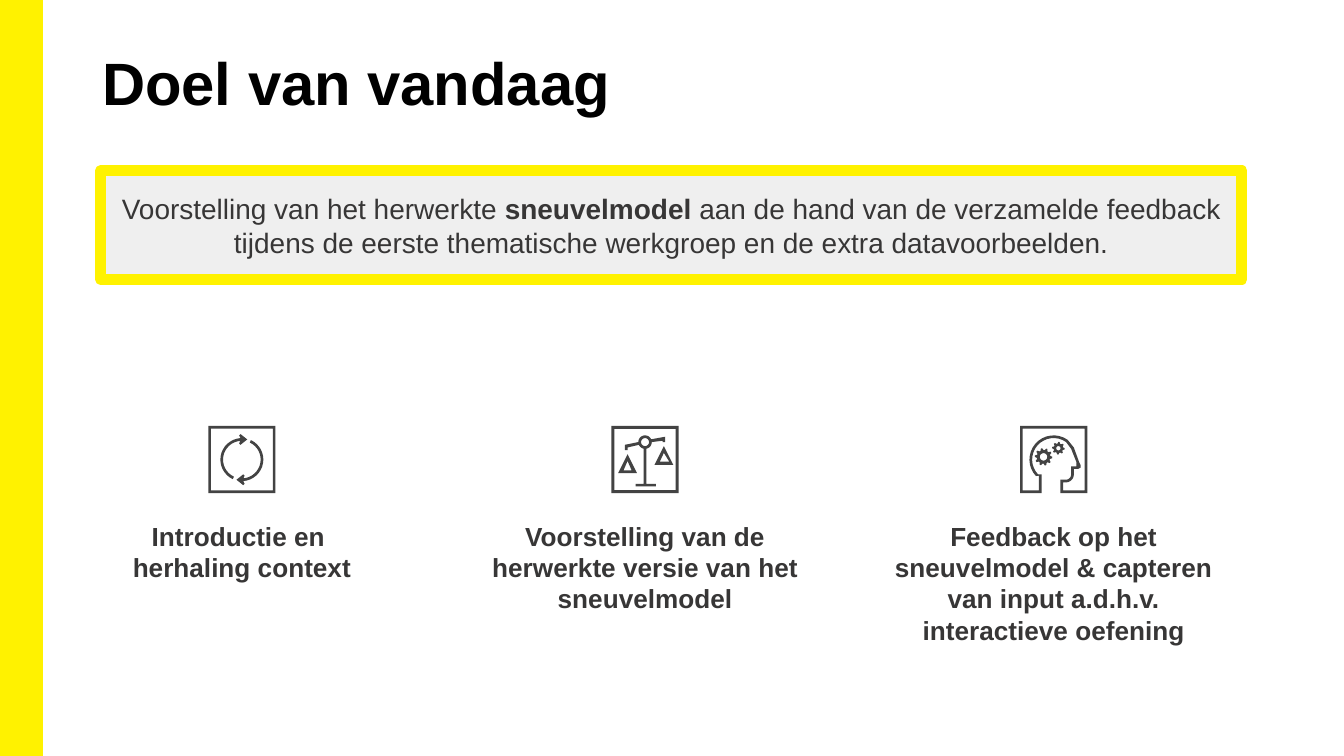
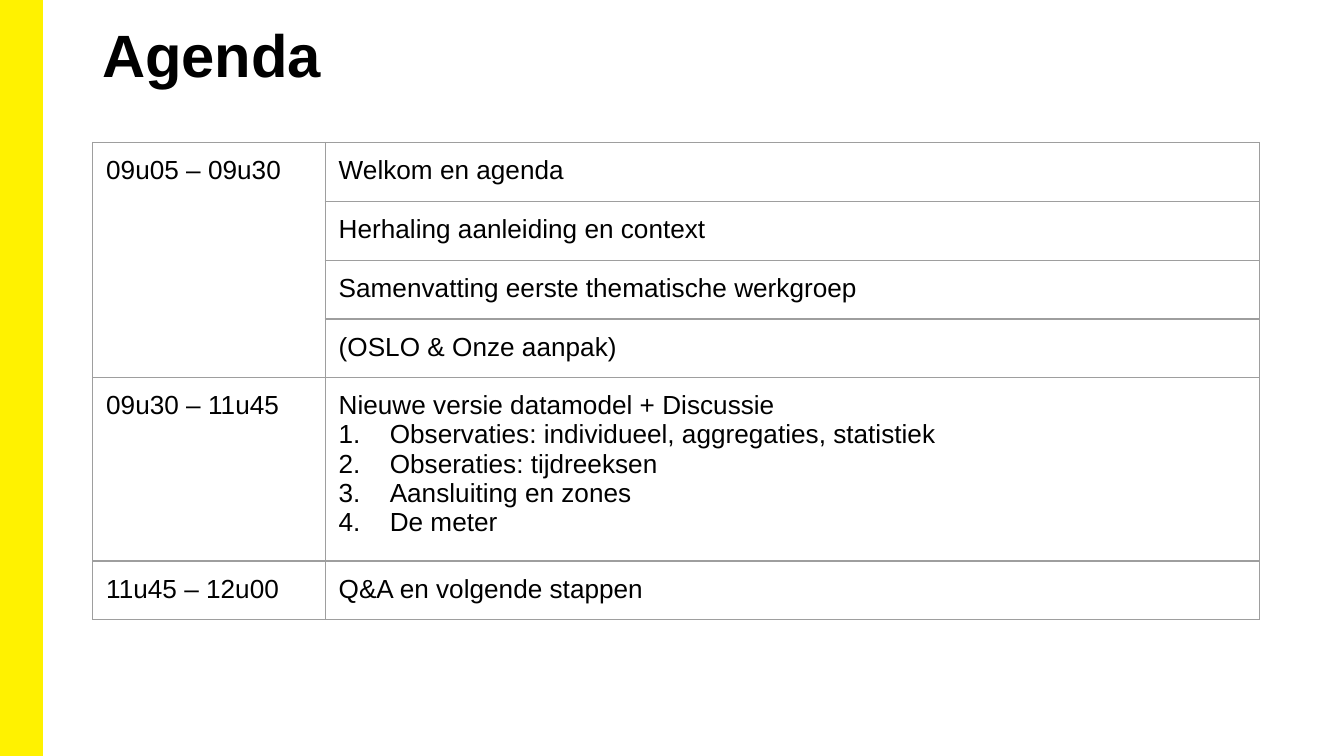
import math

import pptx
import pptx.dml.color
import pptx.enum.shapes
import pptx.enum.text
import pptx.oxml
import pptx.oxml.ns
import pptx.util
from lxml import etree

Inches = pptx.util.Inches
Pt = pptx.util.Pt
ALIGN = pptx.enum.text.PP_ALIGN
ANCHOR = pptx.enum.text.MSO_ANCHOR

COLORS = {"yellow": "FFF200", "black": "000000", "text": "373636",
          "panel": "EFEFEF", "icon": "434343", "border": "9E9E9E"}
FONT = "Arial"
SLIDE_SIZE = (10, 10 * 9 / 16)
ICON_SIZE, ICON_TOP = 0.5, 3.17
LABEL_TOP, LABEL_HEIGHT = 3.82, 1.28

GOAL = [("Voorstelling van het herwerkte ", False),
        ("sneuvelmodel ", True),
        ("aan de hand van de verzamelde feedback tijdens de eerste "
         "thematische werkgroep en de extra datavoorbeelden.", False)]

STEPS = [
    ("cycle", 0.44, 2.72, "Introductie en \vherhaling context"),
    ("head", 6.44, 2.8, "Feedback op het sneuvelmodel & capteren van input a.d.h.v. "
                        "interactieve oefening"),
    ("scales", 3.4, 2.8, "Voorstelling van de herwerkte versie van het sneuvelmodel"),
]

AGENDA = [
    ("09u05 – 09u30", [("Welkom en agenda", 0.44),
                       ("Herhaling aanleiding en context", 0.44),
                       ("Samenvatting eerste thematische werkgroep", 0.41),
                       ("(OSLO & Onze aanpak)", 0.41)], []),
    ("09u30 – 11u45", [("Nieuwe versie datamodel + Discussie", 0.44)],
     ["Observaties: individueel, aggregaties, statistiek",
      "Obseraties: tijdreeksen", "Aansluiting en zones", "De meter"]),
    ("11u45 – 12u00", [("Q&A en volgende stappen", 0.39)], []),
]
AGENDA_COLUMNS = (1.73, 6.95)
AGENDA_HEIGHT = 3.54


def color(name):
    return pptx.dml.color.RGBColor.from_string(COLORS[name])


def style(target, size, name, bold=False):
    target.font.name = FONT
    target.font.size = Pt(size)
    target.font.bold = bold
    target.font.color.rgb = color(name)


def set_margins(frame, horizontal, vertical):
    frame.word_wrap = True
    frame.margin_left = frame.margin_right = Inches(horizontal)
    frame.margin_top = frame.margin_bottom = Inches(vertical)


def add_text(page, place, text, size, name, margins, align=ALIGN.LEFT):
    box = page.shapes.add_textbox(*map(Inches, place))
    set_margins(box.text_frame, *margins)
    para = box.text_frame.paragraphs[0]
    para.text = text
    para.alignment = align
    for span in para.runs:
        style(span, size, name, True)


def add_rectangle(page, place, fill, line_width):
    box = page.shapes.add_shape(pptx.enum.shapes.MSO_SHAPE.RECTANGLE, *map(Inches, place))
    box.shadow.inherit = False
    box.fill.solid()
    box.fill.fore_color.rgb = color(fill)
    box.line.color.rgb = color("yellow")
    box.line.width = Pt(line_width)
    return box


def add_page(deck, title, title_top):
    page = deck.slides.add_slide(deck.slide_layouts[6])
    add_rectangle(page, (0, 0, 0.31, SLIDE_SIZE[1]), "yellow", 1)
    add_text(page, (0.69, title_top, 8.62, 0.81), title, 32, "black", (0.07, 0.04))
    return page


def arc(x, y, radius, start, end, steps=16):
    angles = [math.radians(start + (end - start) * i / steps) for i in range(steps + 1)]
    return [(x + radius * math.cos(a), y + radius * math.sin(a)) for a in angles]


def gear(x, y, outer, inner, hole, teeth):
    outline = []
    for i in range(teeth * 4):
        angle = math.tau * i / (teeth * 4)
        radius = outer if i % 4 < 2 else inner
        outline.append((x + radius * math.cos(angle), y + radius * math.sin(angle)))
    return [outline, arc(x, y, hole, 0, 360)]


def square(low, high):
    return [(low, low), (low, high), (high, high), (high, low)]


def cycle_parts():
    arrow = (arc(25, 25, 14, 115, 265)
             + [(23, 13), (24, 14), (29, 10), (24, 6), (23, 7), (24, 9)]
             + arc(25, 25, 16, 265, 115))
    return [[square(0, 50), square(2, 48)], [arrow],
            [[(50 - x, 50 - y) for x, y in arrow]]]


def scales_parts():
    beam = ([(10, 14)] + arc(25, 12, 5, 180, 335) + [(40, 8), (40, 12), (38, 12), (38, 11)]
            + arc(25, 12, 5, 0, 78)
            + [(26, 43), (33, 43), (33, 45), (18, 45), (18, 43), (24, 43)]
            + arc(25, 12, 5, 102, 156) + [(12, 16), (12, 18), (10, 18)])
    return [[square(0, 50), square(2.2, 47.8),
             [(12, 21), (5, 35), (19, 35)], [(12, 26), (15, 33), (9, 33)],
             [(32, 29), (46, 29), (39, 15)], [(36, 26.5), (39, 20), (43, 26.5)],
             beam, arc(25, 12, 3, 0, 360)]]


def head_parts():
    outer = ([(0, 0), (0, 50), (16, 50), (16, 36)] + arc(25, 25, 16, 137, 305)
             + [(38, 17), (42, 27), (42, 30), (38, 30)] + arc(34, 36, 4, 0, 90)
             + [(30, 40), (30, 50), (50, 50), (50, 0)])
    inner = ([(48, 48), (32, 48), (32, 42)] + arc(34, 36, 6, 90, 0)
             + [(40, 32), (43, 32), (45, 31), (45, 29), (44, 27), (40, 16)]
             + arc(25, 25, 18, 305, 137) + [(14, 37), (14, 48), (2, 48), (2, 2), (48, 2)])
    return [[outer, inner], gear(17.5, 23, 6.5, 5, 2.8, 10), gear(28.5, 16.5, 4.7, 3.5, 1.6, 8)]


ICONS = {"cycle": cycle_parts, "scales": scales_parts, "head": head_parts}


def add_icon(page, name, left, top):
    unit = Inches(ICON_SIZE) / 50
    group = page.shapes.add_group_shape()
    for contours in ICONS[name]():
        builder = None
        for contour in contours:
            points = [(Inches(left) + x * unit, Inches(top) + y * unit) for x, y in contour]
            if builder is None:
                builder = group.shapes.build_freeform(*points[0])
            else:
                builder.move_to(*points[0])
            builder.add_line_segments(points[1:], close=True)
        outline = builder.convert_to_shape()
        outline.shadow.inherit = False
        outline.fill.solid()
        outline.fill.fore_color.rgb = color("icon")
        outline.line.fill.background()


def build_goal(deck):
    page = add_page(deck, "Doel van vandaag", 0.3)
    panel = add_rectangle(page, (0.75, 1.27, 8.49, 0.81), "panel", 6)
    frame = panel.text_frame
    set_margins(frame, 0.1, 0.05)
    frame.vertical_anchor = ANCHOR.MIDDLE
    para = frame.paragraphs[0]
    para.alignment = ALIGN.CENTER
    for text, bold in GOAL:
        span = para.add_run()
        span.text = text
        style(span, 15, "text", bold)
    for icon, left, width, label in STEPS:
        add_text(page, (left, LABEL_TOP, width, LABEL_HEIGHT), label, 14, "text",
                 (0.1, 0.05), ALIGN.CENTER)
        add_icon(page, icon, left + (width - ICON_SIZE) / 2, ICON_TOP)


def add_borders(cell):
    properties = cell._tc.get_or_add_tcPr()
    for index, side in enumerate(("lnL", "lnR", "lnT", "lnB")):
        properties.insert(index, pptx.oxml.parse_xml(
            f'<a:{side} {pptx.oxml.ns.nsdecls("a")} w="{Pt(0.75)}"><a:solidFill>'
            f'<a:srgbClr val="{COLORS["border"]}"/></a:solidFill></a:{side}>'))


def number_paragraph(para):
    properties = para._p.get_or_add_pPr()
    properties.set("marL", str(Inches(0.38)))
    properties.set("indent", str(-Inches(0.38)))
    tag = pptx.oxml.ns.qn
    bullet_color = etree.SubElement(properties, tag("a:buClr"))
    etree.SubElement(bullet_color, tag("a:srgbClr"), val=COLORS["black"])
    etree.SubElement(properties, tag("a:buFont"), typeface=FONT)
    etree.SubElement(properties, tag("a:buAutoNum"), type="arabicPeriod")


def build_agenda(deck):
    page = add_page(deck, "Agenda", 0.09)
    heights = [height for _, topics, _ in AGENDA for _, height in topics]
    holder = page.shapes.add_table(
        len(heights), 2, Inches(0.69), Inches(1.06),
        Inches(sum(AGENDA_COLUMNS)), Inches(AGENDA_HEIGHT))
    table = holder.table
    table.first_row = table.horz_banding = False
    for column, width in zip(table.columns, AGENDA_COLUMNS):
        column.width = Inches(width)
    for row, height in zip(table.rows, heights):
        row.height = Inches(height)
    holder.height = Inches(AGENDA_HEIGHT)
    first = 0
    for time, topics, points in AGENDA:
        table.cell(first, 0).text = time
        for offset, (topic, _) in enumerate(topics):
            table.cell(first + offset, 1).text = topic
        last = first + len(topics) - 1
        for point in points:
            para = table.cell(last, 1).text_frame.add_paragraph()
            para.text = point
            number_paragraph(para)
        if last > first:
            table.cell(first, 0).merge(table.cell(last, 0))
        first = last + 1
    for cell in table.iter_cells():
        cell.margin_left = cell.margin_right = Inches(0.1)
        cell.margin_top = cell.margin_bottom = Inches(0.1)
        cell.fill.background()
        add_borders(cell)
        for para in cell.text_frame.paragraphs:
            style(para, 14, "black")
            for span in para.runs:
                style(span, 14, "black")


def main():
    deck = pptx.Presentation()
    deck.slide_width, deck.slide_height = map(Inches, SLIDE_SIZE)
    build_goal(deck)
    build_agenda(deck)
    deck.save("out.pptx")


if __name__ == "__main__":
    main()
